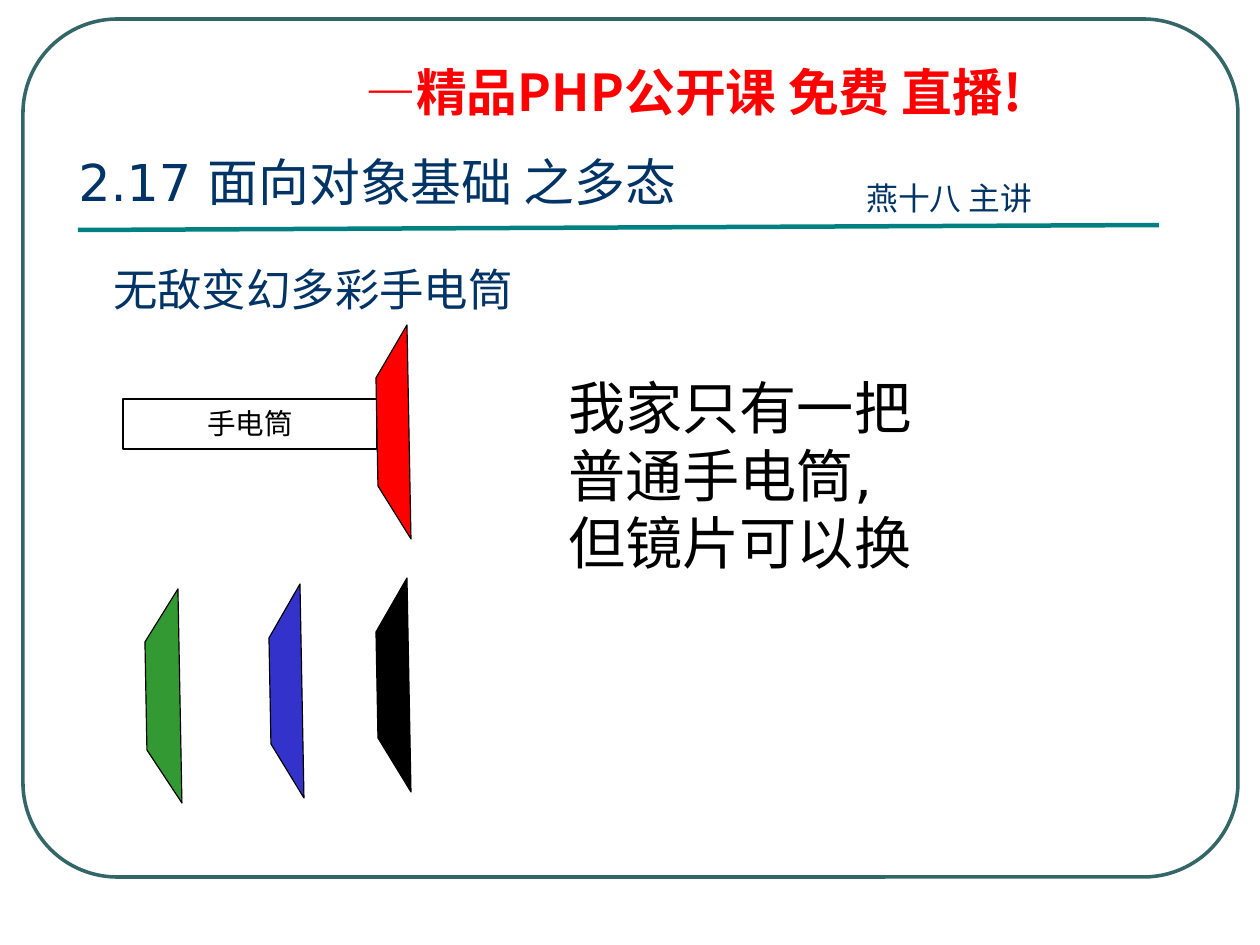
from lxml import etree
from pptx import Presentation
from pptx import util as u
from pptx.dml.color import RGBColor
from pptx.enum import shapes, text
from pptx.oxml.ns import qn

SCALE = 8000
SANS, CJK = "DejaVu Sans", "Noto Sans CJK SC"
COLORS = {
    "frame": "336666", "rule": "008080", "navy": "003366", "red": "FF0000",
    "green": "339933", "blue": "3333CC", "black": "000000", "white": "FFFFFF",
}
LENS_OUTLINE = [(0.88, 0), (1, 1), (0.05, 0.75), (0, 0.25)]


def px(*lengths):
    """Turn px lengths into EMU."""
    return [u.Emu(length * SCALE) for length in lengths]


def color(name):
    """Look up a named colour."""
    return RGBColor.from_string(COLORS[name])


def style_outline(shape, line_color, width, fill_color=None):
    """Set the fill and line of a shape and drop its shadow."""
    shape.shadow.inherit = False
    if fill_color:
        shape.fill.solid()
        shape.fill.fore_color.rgb = color(fill_color)
    else:
        shape.fill.background()
    shape.line.color.rgb = color(line_color)
    shape.line.width = u.Pt(width)


def write_lines(shape, lines, size, font_color, font=SANS, bold=False,
                spacing=0.98, align=text.PP_ALIGN.LEFT,
                anchor=text.MSO_ANCHOR.TOP, wrap=True):
    """Fill a shape with one paragraph for each line."""
    frame = shape.text_frame
    frame.word_wrap = wrap
    frame.vertical_anchor = anchor
    frame.text = "\n".join(lines)
    formats = {"size": u.Pt(size), "name": font, "bold": bold}
    for paragraph in frame.paragraphs:
        paragraph.alignment = align
        paragraph.line_spacing = spacing
        for run in paragraph.runs:
            for name, value in formats.items():
                setattr(run.font, name, value)
            run.font.color.rgb = color(font_color)
            east_asian = etree.Element(qn("a:ea"), typeface=CJK)
            run.font._element.find(qn("a:latin")).addnext(east_asian)


def add_label(slide, box, lines, size, font_color, **formats):
    """Add a text box holding the given lines."""
    shape = slide.shapes.add_textbox(*px(*box))
    write_lines(shape, lines, size, font_color, **formats)


def add_frame(slide, box):
    """Draw the rounded border of the slide."""
    shape = slide.shapes.add_shape(shapes.MSO_SHAPE.ROUNDED_RECTANGLE, *px(*box))
    shape.adjustments[0] = 0.11
    style_outline(shape, "frame", 2.25)


def add_header(slide, box):
    """Place the banner, the lesson title, the speaker and the rule."""
    left, top, width, height = box
    add_label(slide, (left + 287, top, 788, 66), ["—精品PHP公开课 免费 直播!"],
              32, "red", font=CJK, bold=True, spacing=0.9)
    add_label(slide, (left + 788, top + 113, 213, 49), ["燕十八 主讲"],
              20, "navy", font=CJK)
    add_label(slide, (left, top + 79, width, 85), ["2.17 面向对象基础 之多态"],
              32, "navy", anchor=text.MSO_ANCHOR.MIDDLE)
    bottom = top + height
    rule = slide.shapes.add_connector(
        shapes.MSO_CONNECTOR.STRAIGHT,
        *px(left + 11, bottom, left + 1092, bottom - 5))
    rule.line.color.rgb = color("rule")
    rule.line.width = u.Pt(2.83)
    etree.SubElement(rule._element.spPr, qn("a:effectLst"))


def add_lens(slide, box, fill_color):
    """Draw one slanted lens inside its box."""
    left, top, width, height = box
    points = [(left + x * width, top + y * height) for x, y in LENS_OUTLINE]
    builder = slide.shapes.build_freeform(*points[0], scale=SCALE)
    builder.add_line_segments(points[1:], close=True)
    style_outline(builder.convert_to_shape(), "black", 0.75, fill_color)


def add_flashlight(slide, box):
    """Draw the flashlight with its red lens and the spare lenses."""
    left, top, width, height = box
    add_label(slide, (left - 21, top, 748, 64), ["无敌变幻多彩手电筒"], 28, "navy")
    body = slide.shapes.add_shape(
        shapes.MSO_SHAPE.RECTANGLE, *px(left, top + 140, 254, 50))
    style_outline(body, "black", 0.75, "white")
    write_lines(body, ["手电筒"], 18, "black", align=text.PP_ALIGN.CENTER,
                anchor=text.MSO_ANCHOR.MIDDLE, wrap=False)
    lenses = [("red", 253, 66, 35), ("blue", 146, 325, 35),
              ("green", 22, 330, 37), ("black", 253, 319, 35)]
    for fill_color, x, y, lens_width in lenses:
        add_lens(slide, (left + x, top + y, lens_width, 214), fill_color)


def add_remark(slide, box):
    """Place the large remark beside the flashlight."""
    add_label(slide, box, ["我家只有一把", "普通手电筒,", "但镜片可以换"],
              36, "black", anchor=text.MSO_ANCHOR.MIDDLE)


def main():
    """Build the slide and save it."""
    presentation = Presentation()
    presentation.slide_width, presentation.slide_height = px(1260, 945)
    slide = presentation.slides.add_slide(presentation.slide_layouts[6])
    add_frame(slide, (23, 19, 1215, 858))
    add_header(slide, (67, 62, 1130, 168))
    add_flashlight(slide, (123, 259, 288, 545))
    add_remark(slide, (557, 370, 581, 214))
    presentation.save("out.pptx")


if __name__ == "__main__":
    main()
